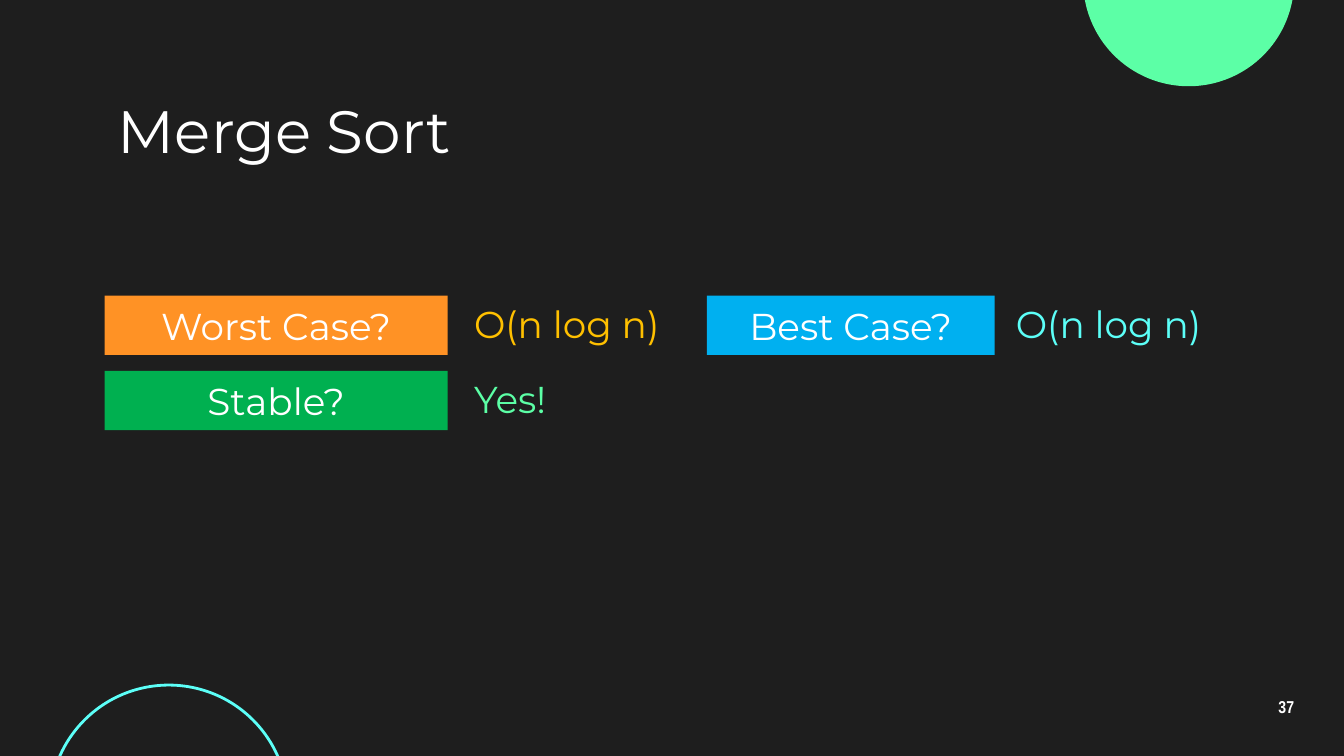
from dataclasses import dataclass

from pptx import Presentation
from pptx.dml.color import RGBColor
from pptx.enum.shapes import MSO_SHAPE as Shape
from pptx.enum.text import MSO_ANCHOR as Anchor, MSO_AUTO_SIZE as AutoSize, PP_ALIGN as Align
from pptx.util import Cm, Pt


@dataclass(frozen=True)
class Theme:
    background: str = "1E1E1E"
    white: str = "FFFFFF"
    mint: str = "5CFFA6"
    cyan: str = "5CFFF8"
    orange: str = "FF9225"
    amber: str = "FFC000"
    green: str = "00B050"
    blue: str = "00B0F0"
    font: str = "Montserrat"
    number_font: str = "Arial Narrow"
    title_size: float = 32
    body_size: float = 20
    number_size: float = 9.2


THEME = Theme()
LABEL_HEIGHT = 1.12
ROW_PITCH = 1.42
ANSWER_RISE = 0.15
INSET = 0.25


def rgb(code):
    return RGBColor.from_string(code)


def write(shape, text, size, color, font=THEME.font, align=Align.LEFT):
    """Fill a shape with one paragraph and return that paragraph."""
    shape.text_frame.text = text
    para = shape.text_frame.paragraphs[0]
    para.alignment = align
    span = para.runs[0]
    span.font.name = font
    span.font.size = Pt(size)
    span.font.color.rgb = rgb(color)
    return para


def add_text(page, box, text, size, color, anchor=Anchor.TOP, **style):
    shape = page.shapes.add_textbox(*map(Cm, box))
    frame = shape.text_frame
    frame.word_wrap = True
    frame.vertical_anchor = anchor
    frame.margin_left = frame.margin_right = Cm(INSET)
    frame.margin_top = frame.margin_bottom = Cm(INSET)
    return write(shape, text, size, color, **style)


def add_plain_shape(page, kind, box, fill=None, line=None):
    shape = page.shapes.add_shape(kind, *map(Cm, box))
    shape.shadow.inherit = False
    if fill:
        shape.fill.solid()
        shape.fill.fore_color.rgb = rgb(fill)
    else:
        shape.fill.background()
    if line:
        shape.line.color.rgb = rgb(line)
        shape.line.width = Pt(1.5)
    else:
        shape.line.fill.background()
    return shape


def add_decor(page):
    add_plain_shape(page, Shape.OVAL, (20.47, -2.36, 3.99, 3.99), fill=THEME.mint)
    add_plain_shape(page, Shape.OVAL, (0.94, 12.95, 4.5, 4.5), line=THEME.cyan)


def add_page_number(page, box, number):
    para = add_text(page, box, number, THEME.number_size, THEME.white, Anchor.MIDDLE,
                    font=THEME.number_font, align=Align.CENTER)
    para.line_spacing = 0.9
    para.runs[0].font.bold = True


def add_fact(page, box, question, fill, answer, color, gap, answer_width):
    """A coloured question label with its answer to the right."""
    left, top, width, height = box
    label = add_plain_shape(page, Shape.RECTANGLE, box, fill=fill)
    label.text_frame.word_wrap = True
    label.text_frame.auto_size = AutoSize.SHAPE_TO_FIT_TEXT
    write(label, question, THEME.body_size, THEME.white, align=Align.CENTER)
    answer_box = (left + width + gap, top - ANSWER_RISE, answer_width, height + 2 * ANSWER_RISE)
    add_text(page, answer_box, answer, THEME.body_size, color)


def add_facts(page, left, top):
    # question, fill, answer, answer colour, column offset, row, width, gap, answer width
    facts = [
        ("Worst Case?", THEME.orange, "O(n log n)", THEME.amber, 0, 0, 6.48, 0.25, 4.32),
        ("Stable?", THEME.green, "Yes!", THEME.mint, 0, 1, 6.48, 0.25, 3.18),
        ("Best Case?", THEME.blue, "O(n log n)", THEME.cyan, 11.38, 0, 5.44, 0.15, 4.32),
    ]
    for question, fill, answer, color, offset, row, width, gap, answer_width in facts:
        box = (left + offset, top + row * ROW_PITCH, width, LABEL_HEIGHT)
        add_fact(page, box, question, fill, answer, color, gap, answer_width)


def main():
    deck = Presentation()
    deck.slide_width, deck.slide_height = Cm(25.4), Cm(14.29)
    page = deck.slides.add_slide(deck.slide_layouts[6])
    page.background.fill.solid()
    page.background.fill.fore_color.rgb = rgb(THEME.background)

    # Backdrop and page number
    add_decor(page)
    add_page_number(page, (23.55, 12.95, 1.52, 0.86), "37")

    # Title and facts
    add_text(page, (1.98, 1.8, 21.44, 1.3), "Merge Sort", THEME.title_size,
             THEME.white, Anchor.MIDDLE)
    add_facts(page, 1.98, 5.59)

    deck.save("out.pptx")


if __name__ == "__main__":
    main()
